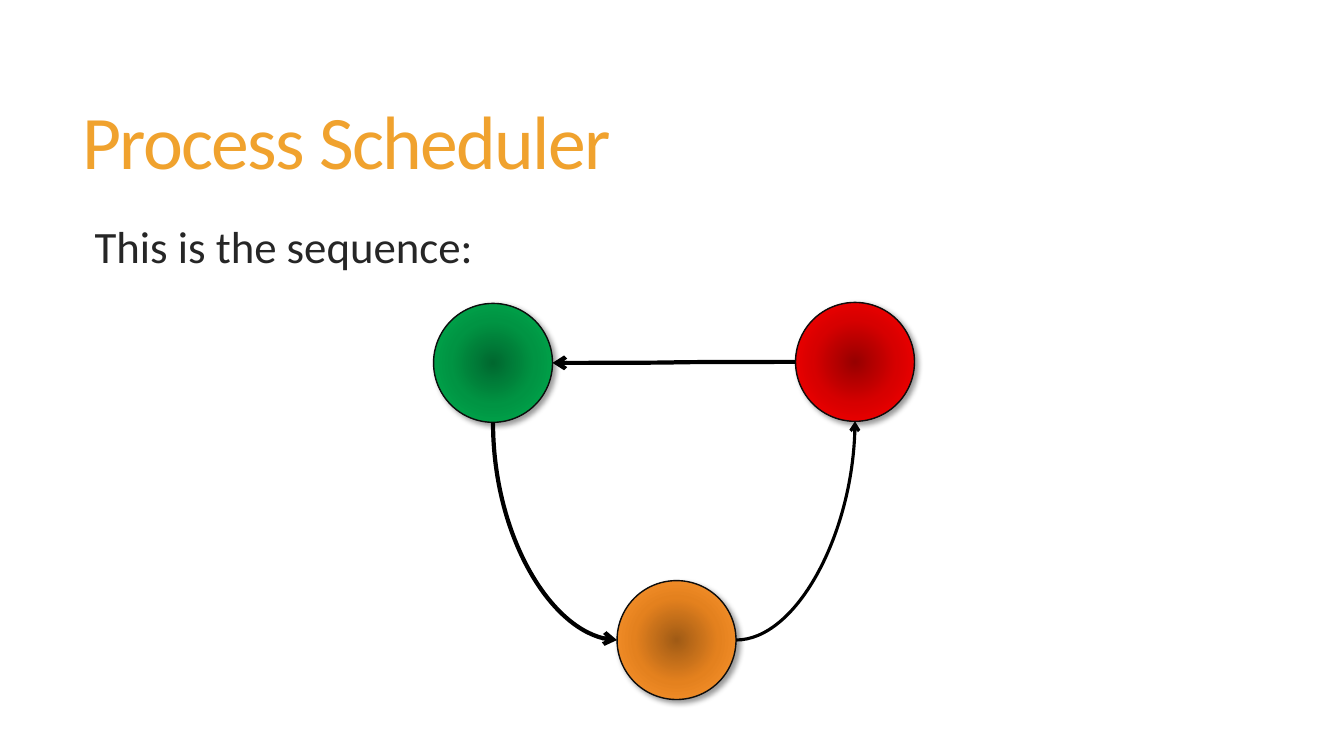
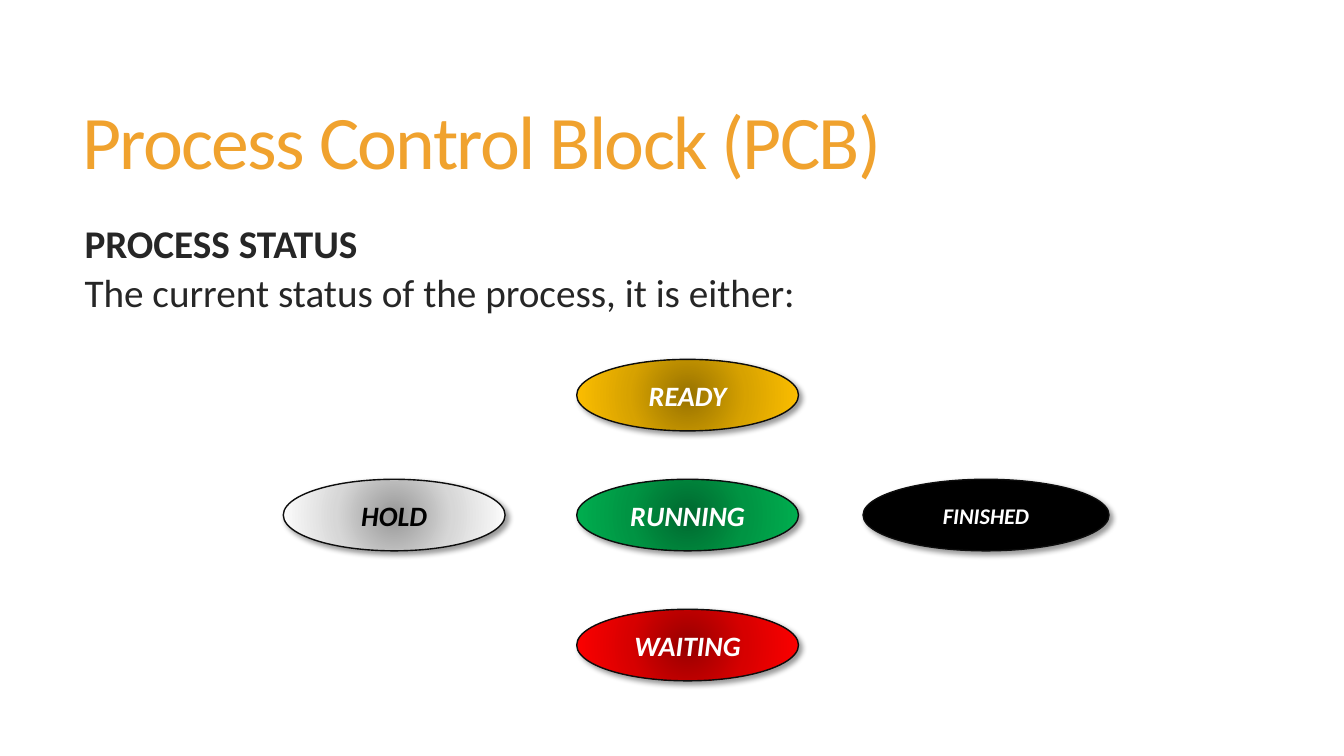
"""Build two slides on process scheduling and the process control block."""
from pptx import Presentation
from pptx.dml.color import RGBColor
from pptx.enum.shapes import MSO_CONNECTOR as Link, MSO_SHAPE as Preset
from pptx.enum.text import MSO_ANCHOR as Anchor, PP_ALIGN as Align
from pptx.oxml import parse_xml
from pptx.oxml.ns import qn
from pptx.util import Inches, Pt
from lxml.etree import SubElement

FONT = "Calibri"
GOLD, INK, EDGE, BLACK, WHITE = "F0A22E", "262626", "0D0D0D", "000000", "FFFFFF"
GREEN = ("00682F", "009443", "00B050")
RED = ("970000", "D70000", "FF0000")
ORANGE = ("A05B15", "E4811E", "FF9933")
AMBER = ("977200", "D7A200", "FFC000")
GRAY = ("979797", "D7D7D7", "FFFFFF")
DRAWING = "http://schemas.openxmlformats.org/drawingml/2006/main"

TITLE_AREA = (0.72, 0.55, 11.78, 1.81)
BODY_AREA = (0.74, 2.2, 11.76, 4.12)

SEQUENCE = {
    "title": "Process Scheduler",
    "body": [("This is the sequence:", 32, False, 13, 0.1)],
}
CIRCLE = 1.18
CIRCLES = {
    "running": (4.89, 3.6, GREEN),
    "waiting": (8.48, 3.59, RED),
    "ready": (6.71, 6.35, ORANGE),
}

STATUS = {
    "title": "Process Control Block (PCB)",
    "body": [
        ("PROCESS STATUS", 28, True, 13, 0),
        ("The current status of the process, it is either:", 28, False, 6, 0),
    ],
}
OVAL_HEIGHT = 0.71
COLUMNS = (3.91, 6.82, 9.78)
ROWS = (3.92, 5.11, 6.4)
STATES = [
    ("HOLD", 0, 1, 2.2, GRAY, 20, BLACK),
    ("READY", 1, 0, 2.2, AMBER, 20, WHITE),
    ("WAITING", 1, 2, 2.2, RED, 20, WHITE),
    ("RUNNING", 1, 1, 2.2, GREEN, 20, WHITE),
    ("FINISHED", 2, 1, 2.44, BLACK, 16, WHITE),
]


def color(code):
    return RGBColor.from_string(code)


def add_run(para, text, size, code, bold=False, italic=False):
    span = para.add_run()
    span.text = text
    font = span.font
    font.name, font.size, font.bold, font.italic = FONT, Pt(size), bold, italic
    font.color.rgb = color(code)
    return span


def add_box(page, area, anchor):
    frame = page.shapes.add_textbox(*map(Inches, area)).text_frame
    frame.word_wrap = True
    frame.vertical_anchor = anchor
    return frame


def add_page(deck, content):
    page = deck.slides.add_slide(deck.slide_layouts[6])
    para = add_box(page, TITLE_AREA, Anchor.MIDDLE).paragraphs[0]
    para.line_spacing = 0.85
    span = add_run(para, content["title"], 54, GOLD)
    span.font._element.set("spc", "-120")
    frame = add_box(page, BODY_AREA, Anchor.TOP)
    for index, (text, size, bold, before, indent) in enumerate(content["body"]):
        para = frame.add_paragraph() if index else frame.paragraphs[0]
        para.line_spacing = 0.85
        para.space_before = Pt(before)
        para._p.get_or_add_pPr().set("marL", str(Inches(indent)))
        add_run(para, text, size, INK, bold)
    return page


def paint_glow(shape, colors):
    stops = "".join(
        f'<a:gs pos="{index * 50000}"><a:srgbClr val="{code}"/></a:gs>'
        for index, code in enumerate(colors)
    )
    glow = parse_xml(
        f'<a:gradFill xmlns:a="{DRAWING}" rotWithShape="1"><a:gsLst>{stops}</a:gsLst>'
        '<a:path path="circle"><a:fillToRect l="50000" t="50000" r="50000" b="50000"/>'
        "</a:path></a:gradFill>"
    )
    properties = shape._element.spPr
    properties.replace(properties.find(qn("a:solidFill")), glow)


def add_oval(page, center_x, center_y, width, height, paint):
    area = (center_x - width / 2, center_y - height / 2, width, height)
    oval = page.shapes.add_shape(Preset.OVAL, *map(Inches, area))
    oval.fill.solid()
    oval.fill.fore_color.rgb = color(BLACK)
    if paint != BLACK:
        paint_glow(oval, paint)
    oval.line.color.rgb = color(EDGE)
    oval.line.width = Pt(1)
    oval.shadow.inherit = False
    effects = oval._element.spPr.find(qn("a:effectLst"))
    effects.append(parse_xml(
        f'<a:outerShdw xmlns:a="{DRAWING}" blurRad="{Pt(4)}" dist="{Pt(3)}" '
        f'dir="2700000" rotWithShape="0"><a:srgbClr val="{BLACK}">'
        '<a:alpha val="40000"/></a:srgbClr></a:outerShdw>'
    ))
    return oval


def add_arrow(page, start, end, weight, bends=2, turned=False):
    if turned:
        mid_x, mid_y = (start[0] + end[0]) / 2, (start[1] + end[1]) / 2
        half_x, half_y = (end[0] - start[0]) / 2, (end[1] - start[1]) / 2
        start, end = (mid_x + half_y, mid_y - half_x), (mid_x - half_y, mid_y + half_x)
    arrow = page.shapes.add_connector(Link.CURVE, *map(Inches, start + end))
    arrow.line.color.rgb = color(BLACK)
    arrow.line.width = Pt(weight)
    properties = arrow._element.spPr
    properties.find(qn("a:prstGeom")).set("prst", f"curvedConnector{bends}")
    if turned:
        properties.find(qn("a:xfrm")).set("rot", "16200000")
    SubElement(properties.find(qn("a:ln")), qn("a:tailEnd")).set("type", "arrow")
    SubElement(properties, qn("a:effectLst"))


def side(name, across, down):
    center_x, center_y, _ = CIRCLES[name]
    return center_x + across * CIRCLE / 2, center_y + down * CIRCLE / 2


def main():
    deck = Presentation()
    deck.slide_width, deck.slide_height = Inches(13.33), Inches(7.5)

    page = add_page(deck, SEQUENCE)
    for center_x, center_y, paint in CIRCLES.values():
        add_oval(page, center_x, center_y, CIRCLE, CIRCLE, paint)
    add_arrow(page, side("running", 0, 1), side("ready", -1, 0), 3, turned=True)
    add_arrow(page, side("ready", 1, 0), side("waiting", 0, 1), 2.25)
    add_arrow(page, side("waiting", -1, 0), side("running", 1, 0), 3, bends=3)

    page = add_page(deck, STATUS)
    for text, column, row, width, paint, size, code in STATES:
        oval = add_oval(page, COLUMNS[column], ROWS[row], width, OVAL_HEIGHT, paint)
        oval.text_frame.vertical_anchor = Anchor.MIDDLE
        para = oval.text_frame.paragraphs[0]
        para.alignment = Align.CENTER
        add_run(para, text, size, code, bold=True, italic=True)

    deck.save("out.pptx")


if __name__ == "__main__":
    main()
